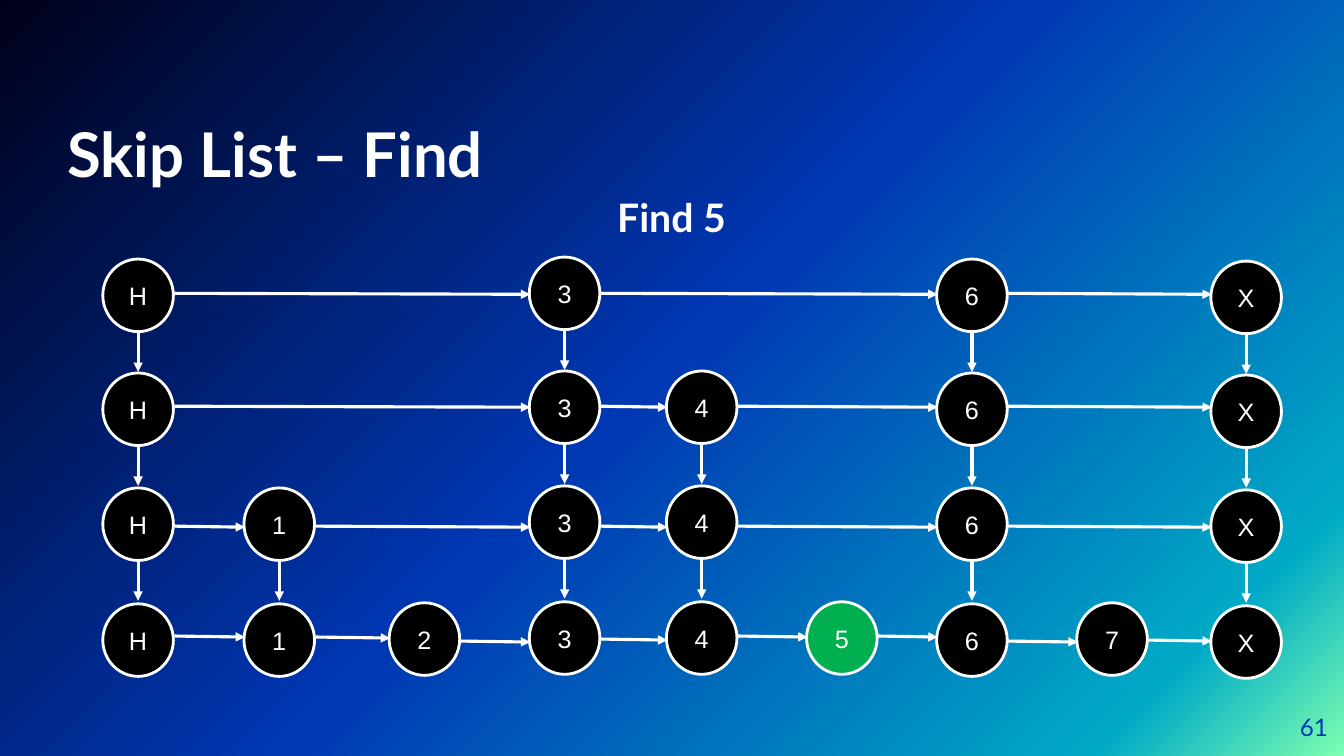
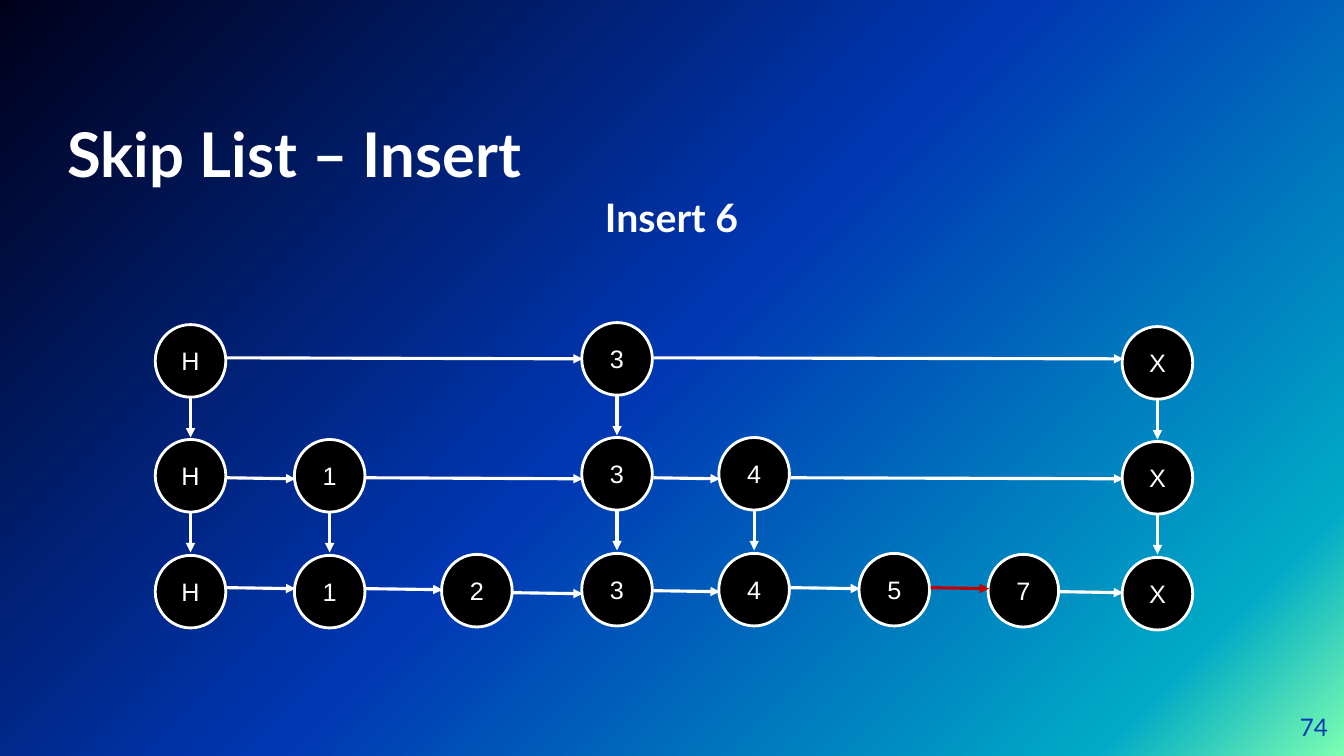
from itertools import pairwise

from lxml import etree
from pptx import Presentation
from pptx.dml.color import RGBColor
from pptx.enum.shapes import MSO_CONNECTOR, MSO_SHAPE
from pptx.enum.text import MSO_ANCHOR, PP_ALIGN
from pptx.oxml.ns import qn
from pptx.util import Inches, Pt

OVAL, STRAIGHT = MSO_SHAPE.OVAL, MSO_CONNECTOR.STRAIGHT
TOP, MIDDLE, BOTTOM = MSO_ANCHOR.TOP, MSO_ANCHOR.MIDDLE, MSO_ANCHOR.BOTTOM
LEFT, CENTER, RIGHT = PP_ALIGN.LEFT, PP_ALIGN.CENTER, PP_ALIGN.RIGHT

WHITE, BLACK, BLUE, GREEN, RED = "FFFFFF", "000000", "0037B3", "00B050", "C00000"
GRADIENT = [(0, "7DFFB1"), (12, "00AAC6"), (51, BLUE), (100, "00001A")]

NODE_WIDTH, NODE_HEIGHT, DROP = 0.7, 0.72, 0.4
NODE_SHIFT = {"2": -0.01, "3": -0.02, "4": -0.02, "5": -0.02, "7": -0.01, "X": 0.02}
BOTTOM_ARROW_SHIFT = {"1": 0.01, "2": 0.05, "3": 0.03, "6": 0.05, "7": 0.04}

TITLE = {
    "at": (0.67, 0.63, 8.79, 1.25), "anchor": BOTTOM, "align": LEFT, "inset": 0,
    "font": {"name": "Lato", "size": Pt(44), "bold": True}, "color": WHITE,
}
SUBTITLE = {
    "at": (4.96, 1.87, 3.4, 0.57), "anchor": TOP, "align": CENTER, "inset": 0.05,
    "font": {"name": "Lato", "size": Pt(28), "bold": True}, "color": WHITE,
}
NUMBER = {
    "at": (12.37, 6.93, 0.8, 0.57), "anchor": MIDDLE, "align": RIGHT, "inset": 0,
    "font": {"name": "Lato", "size": Pt(17.3)}, "color": BLUE,
}
NODE = {
    "anchor": MIDDLE, "align": CENTER, "inset": 0.05,
    "font": {"name": "Arial", "size": Pt(18)}, "color": WHITE,
}

SLIDES = [
    {
        "texts": [("Skip List – Find", TITLE), ("Find 5", SUBTITLE), ("61", NUMBER)],
        "row_tops": [2.57, 3.7, 4.84, 5.99],
        "arrow_tops": [2.91, 4.03, 5.22, 6.31],
        "towers": [("H", 1.02, 4), ("1", 2.42, 2), ("2", 3.86, 1), ("3", 5.25, 4),
                   ("4", 6.61, 3), ("5", 8, 1), ("6", 9.29, 4), ("7", 10.68, 1),
                   ("X", 12.01, 4)],
        "node_fills": {"5": GREEN},
        "link_colors": {},
    },
    {
        "texts": [("Skip List – Insert", TITLE), ("Insert 6", SUBTITLE), ("74", NUMBER)],
        "row_tops": [3.22, 4.36, 5.51],
        "arrow_tops": [3.55, 4.74, 5.83],
        "towers": [("H", 1.54, 3), ("1", 2.92, 2), ("2", 4.38, 1), ("3", 5.77, 3),
                   ("4", 7.13, 2), ("5", 8.52, 1), ("7", 9.8, 1), ("X", 11.13, 3)],
        "node_fills": {},
        "link_colors": {("5", "7"): RED},
    },
]


def write_text(shape, text, style):
    frame = shape.text_frame
    frame.word_wrap = True
    frame.vertical_anchor = style["anchor"]
    frame.margin_top = frame.margin_bottom = Inches(style["inset"])
    frame.margin_left = frame.margin_right = Inches(style["inset"] * 2)
    para = frame.paragraphs[0]
    para.alignment = style["align"]
    span = para.add_run()
    span.text = text
    for name, value in style["font"].items():
        setattr(span.font, name, value)
    span.font.color.rgb = RGBColor.from_string(style["color"])


def add_arrow(page, start, end, color):
    arrow = page.shapes.add_connector(STRAIGHT, *map(Inches, start + end))
    arrow.line.color.rgb = RGBColor.from_string(color)
    arrow.line.width = Pt(2.25)
    properties = arrow.element.spPr
    etree.SubElement(properties.find(qn("a:ln")), qn("a:tailEnd"), type="triangle")
    etree.SubElement(properties, qn("a:effectLst"))


deck = Presentation()
deck.slide_width, deck.slide_height = Inches(13.33), Inches(7.5)

master = deck.slide_master
backdrop = master.background.fill
backdrop.gradient()
backdrop.gradient_angle = 135
stops = master.element.find(".//" + qn("p:bg")).find(".//" + qn("a:gsLst"))
for stop in list(stops):
    stops.remove(stop)
for position, color in GRADIENT:
    stop = etree.SubElement(stops, qn("a:gs"), pos=str(position * 1000))
    etree.SubElement(stop, qn("a:srgbClr"), val=color)

for content in SLIDES:
    page = deck.slides.add_slide(deck.slide_layouts[6])
    for text, style in content["texts"]:
        box = page.shapes.add_textbox(*map(Inches, style["at"]))
        write_text(box, text, style)

    row_tops = content["row_tops"]
    row_count = len(row_tops)
    for label, left, height in content["towers"]:
        tops = [top + NODE_SHIFT.get(label, 0) for top in row_tops[row_count - height:]]
        for top in tops:
            node = page.shapes.add_shape(
                OVAL, Inches(left), Inches(top), Inches(NODE_WIDTH), Inches(NODE_HEIGHT))
            node.shadow.inherit = False
            node.fill.solid()
            fill = content["node_fills"].get(label, BLACK)
            node.fill.fore_color.rgb = RGBColor.from_string(fill)
            node.line.color.rgb = RGBColor.from_string(WHITE)
            node.line.width = Pt(2)
            write_text(node, label, NODE)
        middle = left + NODE_WIDTH / 2
        for top in tops[:-1]:
            start = top + NODE_HEIGHT
            add_arrow(page, (middle, start), (middle, start + DROP), WHITE)

    for row, arrow_top in enumerate(content["arrow_tops"]):
        linked = [tower for tower in content["towers"] if tower[2] >= row_count - row]
        for (label, left, _), (next_label, next_left, _) in pairwise(linked):
            is_bottom = row == row_count - 1
            start = arrow_top + (BOTTOM_ARROW_SHIFT.get(label, 0) if is_bottom else 0)
            color = content["link_colors"].get((label, next_label), WHITE)
            add_arrow(page, (left + NODE_WIDTH + 0.01, start),
                      (next_left + 0.01, start + 0.01), color)

deck.save("out.pptx")
